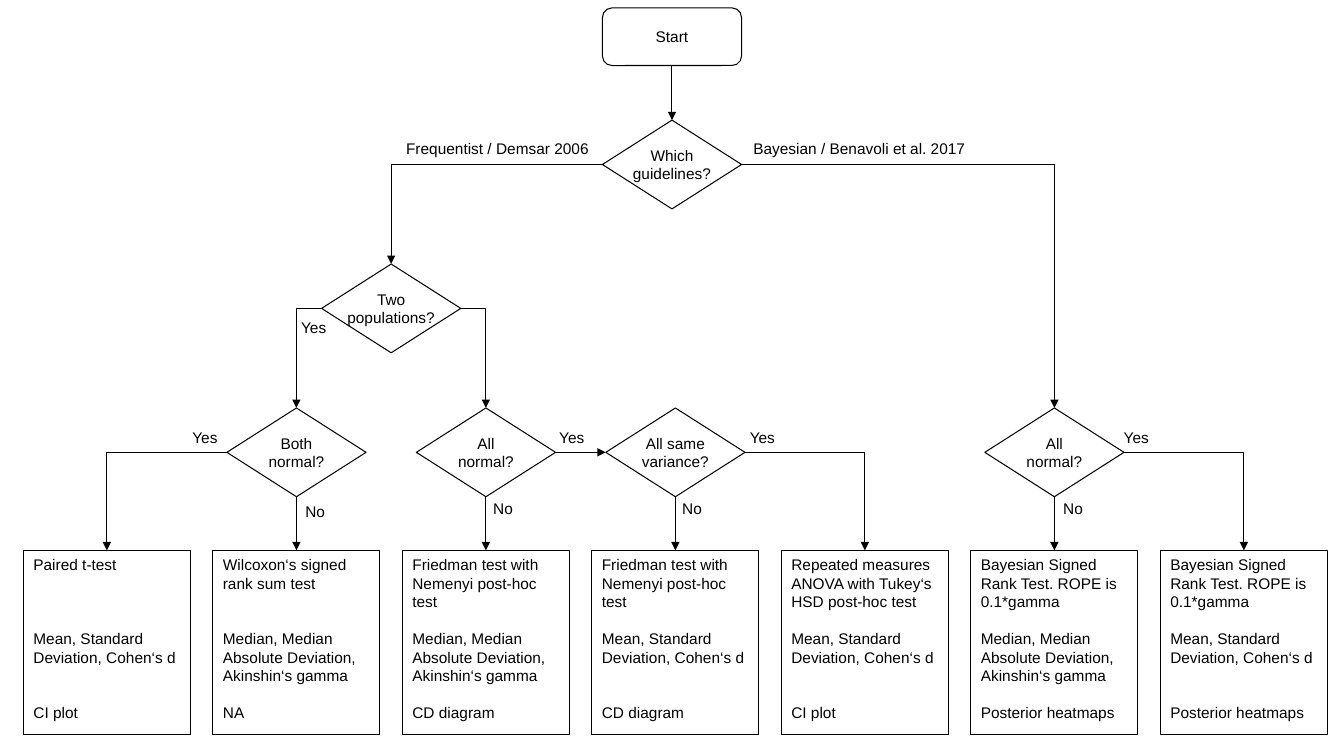
from lxml.etree import SubElement
from pptx import Presentation
from pptx.dml.color import RGBColor
from pptx.enum.shapes import MSO_CONNECTOR, MSO_SHAPE
from pptx.enum.text import MSO_ANCHOR, MSO_AUTO_SIZE, PP_ALIGN
from pptx.oxml.ns import qn
from pptx.util import Pt

WIDTH, HEIGHT = 960, 540
BLACK = "000000"
LINE = 13.2            # height of one text line
NODE_W, NODE_H = 99.4, 63.4
BOX_W, BOX_H, BOX_TOP = 119.3, 131.8, 393.1
TOP, LEFT, BOTTOM, RIGHT = 0, 1, 2, 3

CENTRED = {"word_wrap": False, "vertical_anchor": MSO_ANCHOR.MIDDLE,
           "margin_left": 0, "margin_right": 0,
           "margin_top": 0, "margin_bottom": 0}
BOXED = {"word_wrap": True, "vertical_anchor": MSO_ANCHOR.TOP}
LABEL = {"word_wrap": False, "auto_size": MSO_AUTO_SIZE.SHAPE_TO_FIT_TEXT}

# Texts with the number of lines each one takes
MEAN = ("Mean, Standard Deviation, Cohen‘s d", 2)
MEDIAN = ("Median, Median Absolute Deviation, Akinshin‘s gamma", 3)
FRIEDMAN = ("Friedman test with Nemenyi post-hoc test", 3)
BAYES = ("Bayesian Signed Rank Test. ROPE is 0.1*gamma", 3)
RESULTS = [
    (("Paired t-test", 1), MEAN, "CI plot"),
    (("Wilcoxon‘s signed rank sum test", 2), MEDIAN, "NA"),
    (FRIEDMAN, MEDIAN, "CD diagram"),
    (FRIEDMAN, MEAN, "CD diagram"),
    (("Repeated measures ANOVA with Tukey‘s HSD post-hoc test", 3),
     MEAN, "CI plot"),
    (BAYES, MEDIAN, "Posterior heatmaps"),
    (BAYES, MEAN, "Posterior heatmaps"),
]

# Text, left, top, width
LABELS = [
    ("Frequentist / Demsar 2006", 283, 95.8, 146.2),
    ("Bayesian / Benavoli et al. 2017", 531, 95.8, 167),
    ("Yes", 208, 223.9, 33.8),
    ("Yes", 130.3, 302.4, 33.8),
    ("Yes", 392.4, 302.4, 33.8),
    ("Yes", 528.5, 302.4, 33.8),
    ("Yes", 795.6, 302.4, 33.8),
    ("No", 211, 355, 28.8),
    ("No", 345.2, 353.2, 28.8),
    ("No", 480.2, 353.2, 28.8),
    ("No", 752.4, 353.2, 28.8),
]


def color(code):
    return RGBColor.from_string(code)


def column(num):
    """Centre of a result column."""
    return 76.4 + 135.35 * num


def level(num):
    """Top of a row of decisions."""
    return 85.8 + 102.8 * num


def assign(item, values):
    for name, value in values.items():
        setattr(item, name, value)


def write(shape, lines, style, align=PP_ALIGN.LEFT, gaps=()):
    frame = shape.text_frame
    assign(frame, style)
    frame.text = "\n".join(lines)
    font = {"name": "Arial", "size": Pt(11)}
    for para in frame.paragraphs:
        para.alignment = align
        assign(para.runs[0].font, font)
        para.runs[0].font.color.rgb = color(BLACK)
    for para, gap in zip(frame.paragraphs[1:], gaps):
        para.space_before = Pt(gap)


def ink(item):
    item.line.color.rgb = color(BLACK)
    item.line.width = Pt(0.75)


def outline(slide, kind, mid, top, width, height):
    shape = slide.shapes.add_shape(
        kind, Pt(mid - width / 2), Pt(top), Pt(width), Pt(height))
    shape.shadow.inherit = False
    shape.fill.background()
    ink(shape)
    return shape


def decide(slide, text, mid, row):
    node = outline(slide, MSO_SHAPE.FLOWCHART_DECISION,
                   mid, level(row), NODE_W, NODE_H)
    write(node, text.split("\n"), CENTRED, PP_ALIGN.CENTER)
    return node


def result(slide, num, test, stats, plot):
    box = outline(slide, MSO_SHAPE.RECTANGLE,
                  column(num), BOX_TOP, BOX_W, BOX_H)
    # Each section starts four lines below the one before
    gaps = [LINE * (4 - count) for _, count in (test, stats)]
    write(box, [test[0], stats[0], plot], BOXED, gaps=gaps)
    return box


def label(slide, text, left, top, width):
    box = slide.shapes.add_textbox(Pt(left), Pt(top), Pt(width), Pt(20.6))
    write(box, [text], LABEL)


def arrow(slide, start, side, end, goal=TOP):
    bent = side != BOTTOM and goal == TOP
    kind = MSO_CONNECTOR.ELBOW if bent else MSO_CONNECTOR.STRAIGHT
    link = slide.shapes.add_connector(kind, 0, 0, 0, 0)
    link.begin_connect(start, side)
    link.end_connect(end, goal)
    ink(link)
    props = link._element.spPr
    if bent:  # a single corner
        props.find(qn("a:prstGeom")).set("prst", "bentConnector2")
    SubElement(props.find(qn("a:ln")), qn("a:tailEnd"), type="triangle")
    SubElement(props, qn("a:effectLst"))


def main():
    deck = Presentation()
    assign(deck, {"slide_width": Pt(WIDTH), "slide_height": Pt(HEIGHT)})
    slide = deck.slides.add_slide(deck.slide_layouts[6])

    # Start and decisions
    start = outline(slide, MSO_SHAPE.FLOWCHART_ALTERNATE_PROCESS,
                    WIDTH / 2, 5.6, NODE_W, 41.2)
    write(start, ["Start"], CENTRED, PP_ALIGN.CENTER)
    guide = decide(slide, "Which\nguidelines?", WIDTH / 2, 0)
    two = decide(slide, "Two\npopulations?", column(1.5), 1)
    both = decide(slide, "Both\nnormal?", column(1), 2)
    many = decide(slide, "All\nnormal?", column(2), 2)
    same = decide(slide, "All same\nvariance?", column(3), 2)
    bayes = decide(slide, "All\nnormal?", column(5), 2)

    # Results
    boxes = [result(slide, num, *row) for num, row in enumerate(RESULTS)]

    # Arrows between decisions
    arrow(slide, start, BOTTOM, guide)
    arrow(slide, guide, LEFT, two)
    arrow(slide, guide, RIGHT, bayes)
    arrow(slide, two, LEFT, both)
    arrow(slide, two, RIGHT, many)
    arrow(slide, many, RIGHT, same, LEFT)

    # Arrows to results
    for node, num in ((both, 1), (many, 2), (same, 3), (bayes, 5)):
        arrow(slide, node, BOTTOM, boxes[num])
    arrow(slide, both, LEFT, boxes[0])
    arrow(slide, same, RIGHT, boxes[4])
    arrow(slide, bayes, RIGHT, boxes[6])

    # Branch labels
    for row in LABELS:
        label(slide, *row)

    deck.save("out.pptx")


if __name__ == "__main__":
    main()
